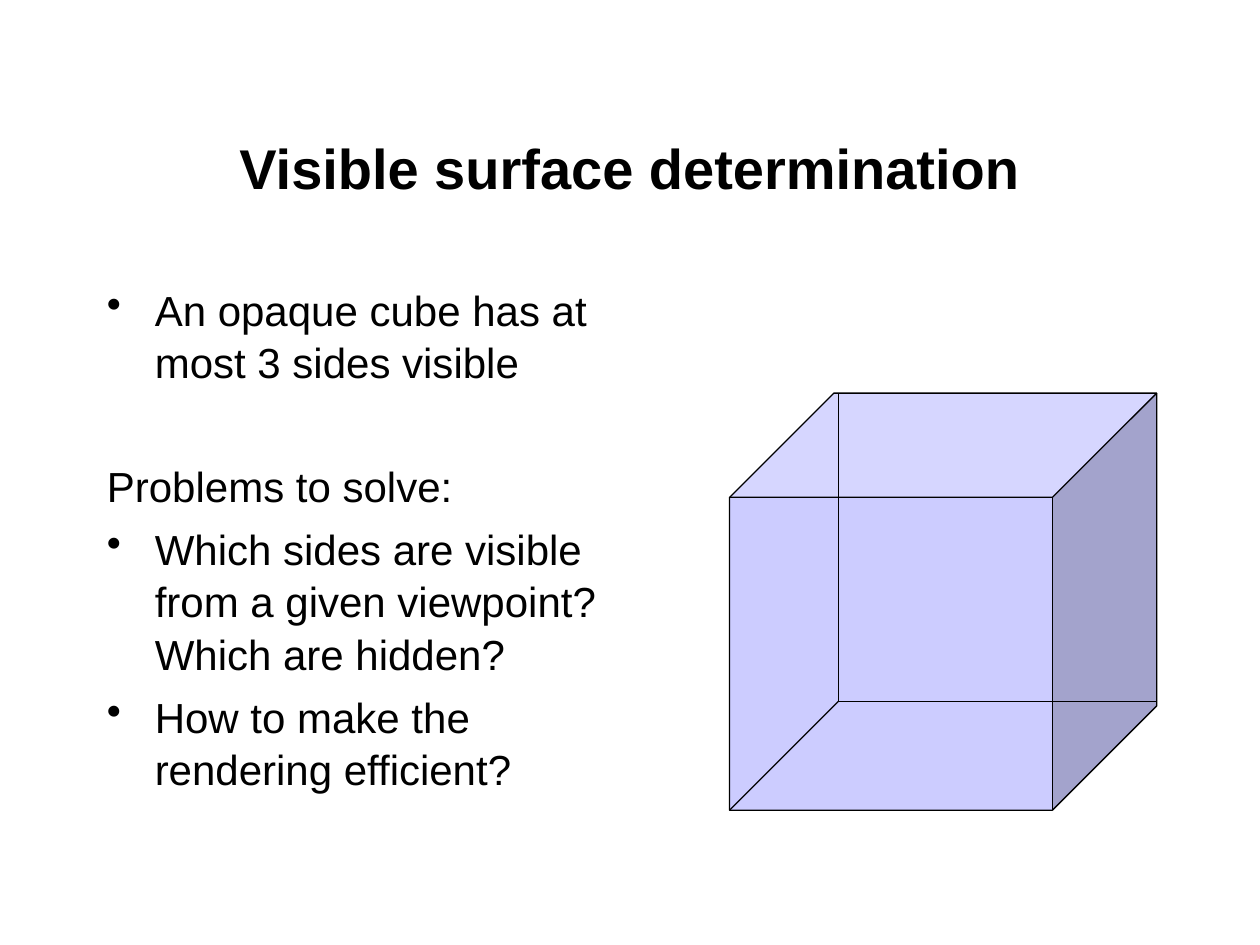
from pptx import Presentation
from pptx import util as u
from pptx.dml.color import RGBColor
from pptx.enum import shapes, text
from pptx.oxml.xmlchemy import OxmlElement

HEADING = "Visible surface determination"
POINTS = [
    ("•", "An opaque cube has at most 3 sides visible", 0),
    (None, "Problems to solve:", 41),
    ("•", "Which sides are visible from a given viewpoint? Which are hidden?", 6),
    ("•", "How to make the rendering efficient?", 6),
]
THEME = {
    "font": "Arial",
    "ink": RGBColor(0, 0, 0),
    "face": RGBColor(0xCC, 0xCC, 0xFF),
    "heading": 32,
    "body": 24,
    "edge": 0.75,
    "leading": 1.04,
}
WIDTH, HEIGHT = 10, 7.5
MARGIN = 0.075 * WIDTH
HANG = 0.38
CUBE_LEFT, CUBE_TOP, CUBE_WIDTH, CUBE_HEIGHT = 5.79, 3.12, 3.39, 3.31
CUBE_DEPTH = 0.25
HIDDEN_OFFSET = 0.865


def add_frame(slide, left, top, width, height, anchor):
    frame = slide.shapes.add_textbox(*map(u.Inches, (left, top, width, height))).text_frame
    frame.word_wrap = True
    frame.vertical_anchor = anchor
    return frame


def write(paragraph, words, size, bold=False):
    paragraph.line_spacing = THEME["leading"]
    run = paragraph.add_run()
    run.text = words
    run.font.name = THEME["font"]
    run.font.size = u.Pt(size)
    run.font.bold = bold
    run.font.color.rgb = THEME["ink"]


def hang(paragraph, bullet):
    properties = paragraph._p.get_or_add_pPr()
    properties.set("marL", str(u.Inches(HANG)))
    properties.set("indent", str(-u.Inches(HANG)))
    mark = OxmlElement("a:buChar" if bullet else "a:buNone")
    if bullet:
        mark.set("char", bullet)
    properties.append(mark)


def draw_edge(outline):
    outline.color.rgb = THEME["ink"]
    outline.width = u.Pt(THEME["edge"])


def add_cube(slide):
    cube = slide.shapes.add_shape(
        shapes.MSO_SHAPE.CUBE,
        *map(u.Inches, (CUBE_LEFT, CUBE_TOP, CUBE_WIDTH, CUBE_HEIGHT)),
    )
    cube.adjustments[0] = CUBE_DEPTH
    cube.shadow.inherit = False
    cube.fill.solid()
    cube.fill.fore_color.rgb = THEME["face"]
    draw_edge(cube.line)

    right, bottom = CUBE_LEFT + CUBE_WIDTH, CUBE_TOP + CUBE_HEIGHT
    corner = (CUBE_LEFT + HIDDEN_OFFSET, bottom - HIDDEN_OFFSET)
    for end in ((corner[0], CUBE_TOP), (CUBE_LEFT, bottom), (right, corner[1])):
        hidden_edge = slide.shapes.add_connector(
            shapes.MSO_CONNECTOR.STRAIGHT, *map(u.Inches, corner + end)
        )
        draw_edge(hidden_edge.line)
        hidden_edge._element.spPr.append(OxmlElement("a:effectLst"))


def main():
    deck = Presentation()
    deck.slide_width, deck.slide_height = u.Inches(WIDTH), u.Inches(HEIGHT)
    slide = deck.slides.add_slide(deck.slide_layouts[6])

    heading = add_frame(
        slide, MARGIN, 0.69, WIDTH - 2 * MARGIN, 1.25, text.MSO_ANCHOR.MIDDLE
    ).paragraphs[0]
    heading.alignment = text.PP_ALIGN.CENTER
    write(heading, HEADING, THEME["heading"], bold=True)

    points = add_frame(
        slide, MARGIN, 2.19, WIDTH / 2 - MARGIN, 4.65, text.MSO_ANCHOR.TOP
    )
    for index, (bullet, words, gap) in enumerate(POINTS):
        point = points.add_paragraph() if index else points.paragraphs[0]
        hang(point, bullet)
        point.space_before = u.Pt(gap)
        write(point, words, THEME["body"])

    add_cube(slide)
    deck.save("out.pptx")


if __name__ == "__main__":
    main()
